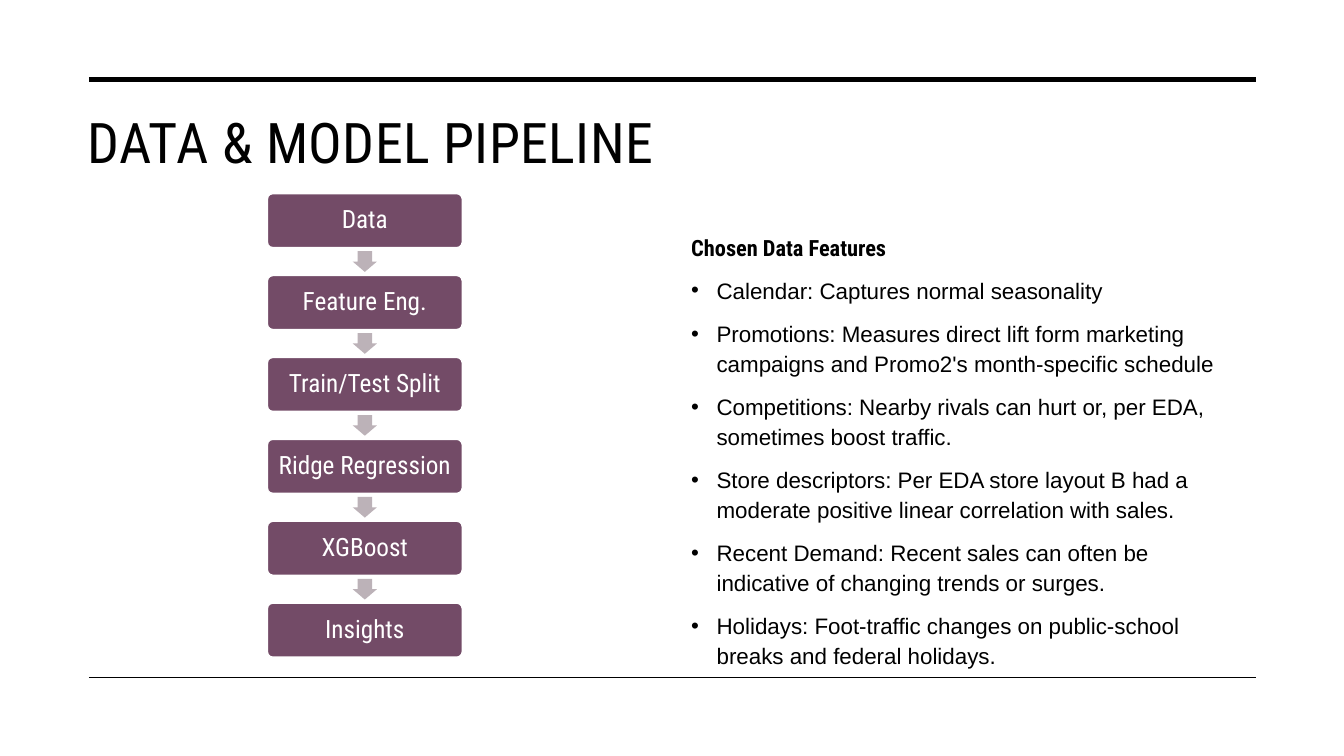
from dataclasses import dataclass

import pptx
import pptx.dml.color
import pptx.enum.shapes
import pptx.enum.text
import pptx.oxml.xmlchemy
import pptx.util

Cm = pptx.util.Cm
Pt = pptx.util.Pt
Shape = pptx.enum.shapes.MSO_SHAPE
Anchor = pptx.enum.text.MSO_ANCHOR
Align = pptx.enum.text.PP_ALIGN
new_element = pptx.oxml.xmlchemy.OxmlElement


@dataclass(frozen=True)
class Theme:
    ink: str = "000000"
    paper: str = "FFFFFF"
    stage: str = "734B67"
    arrow: str = "BCB2B8"
    heading_font: str = "Roboto Condensed"
    body_font: str = "Arial"
    title_size: int = 40
    stage_size: int = 18
    body_size: int = 16


@dataclass(frozen=True)
class Box:
    left: float
    top: float
    width: float
    height: float

    def lengths(self):
        return Cm(self.left), Cm(self.top), Cm(self.width), Cm(self.height)


THEME = Theme()
STAGES = ["Data", "Feature Eng.", "Train/Test Split", "Ridge Regression", "XGBoost", "Insights"]
FEATURES = [
    "Calendar: Captures normal seasonality",
    "Promotions: Measures direct lift form marketing campaigns and Promo2's month-specific schedule",
    "Competitions: Nearby rivals can hurt or, per EDA, sometimes boost traffic.",
    "Store descriptors: Per EDA store layout B had a moderate positive linear correlation with sales.",
    "Recent Demand: Recent sales can often be indicative of changing trends or surges.",
    "Holidays: Foot-traffic changes on public-school breaks and federal holidays.",
]


def color(value):
    return pptx.dml.color.RGBColor.from_string(value)


def add_span(para, text, size, font, ink, bold=False):
    span = para.add_run()
    span.text = text
    span.font.size = Pt(size)
    span.font.name = font
    span.font.bold = bold
    span.font.color.rgb = color(ink)
    return span


def prepare_frame(frame, anchor):
    frame.word_wrap = True
    frame.auto_size = pptx.enum.text.MSO_AUTO_SIZE.NONE
    frame.vertical_anchor = anchor


def add_rule(page, box, weight):
    left, top, width, height = box.lengths()
    rule = page.shapes.add_connector(
        pptx.enum.shapes.MSO_CONNECTOR.STRAIGHT, left, top, left + width, top + height)
    rule.line.color.rgb = color(THEME.ink)
    rule.line.width = Pt(weight)
    rule._element.spPr.append(new_element("a:effectLst"))


def place_title(page, box, text):
    title = page.shapes.title
    title.left, title.top, title.width, title.height = box.lengths()
    prepare_frame(title.text_frame, Anchor.TOP)
    para = title.text_frame.paragraphs[0]
    para.alignment = Align.LEFT
    span = add_span(para, text, THEME.title_size, THEME.heading_font, THEME.ink)
    span._r.get_or_add_rPr().set("spc", "30")


def add_block(page, preset, box, fill):
    block = page.shapes.add_shape(preset, *box.lengths())
    block.shadow.inherit = False
    block.fill.solid()
    block.fill.fore_color.rgb = color(fill)
    block.line.fill.background()
    return block


def add_stage(page, box, text):
    stage = add_block(page, Shape.ROUNDED_RECTANGLE, box, THEME.stage)
    stage.adjustments[0] = 0.1
    stage.line.color.rgb = color(THEME.paper)
    stage.line.width = Pt(1)
    frame = stage.text_frame
    prepare_frame(frame, Anchor.MIDDLE)
    frame.margin_left = frame.margin_right = Cm(0.2)
    para = frame.paragraphs[0]
    para.alignment = Align.CENTER
    para.line_spacing = 0.9
    add_span(para, text, THEME.stage_size, THEME.heading_font, THEME.paper)


def add_pipeline(page, box, stages):
    stage_height, arrow_width, arrow_height = 1.36, 0.61, 0.52
    pitch = (box.height - stage_height) / (len(stages) - 1)
    for index, text in enumerate(stages):
        top = box.top + index * pitch
        add_stage(page, Box(box.left, top, box.width, stage_height), text)
        if index:
            arrow_top = top - (pitch - stage_height + arrow_height) / 2
            arrow_left = box.left + (box.width - arrow_width) / 2
            arrow = add_block(page, Shape.DOWN_ARROW,
                              Box(arrow_left, arrow_top, arrow_width, arrow_height), THEME.arrow)
            arrow.adjustments[0] = 0.6
            arrow.adjustments[1] = 0.5


def add_bullet(para):
    properties = para._p.get_or_add_pPr()
    properties.set("marL", str(Cm(0.64)))
    properties.set("indent", str(-Cm(0.64)))
    font = new_element("a:buFont")
    font.set("typeface", THEME.body_font)
    bullet = new_element("a:buChar")
    bullet.set("char", "•")
    properties.extend([font, bullet])


def add_paragraphs(page, box, texts, font, anchor, bold=False, bulleted=False):
    frame = page.shapes.add_textbox(*box.lengths()).text_frame
    prepare_frame(frame, anchor)
    for index, text in enumerate(texts):
        para = frame.add_paragraph() if index else frame.paragraphs[0]
        para.line_spacing = 1.1
        para.space_before = Pt(10)
        if bulleted:
            add_bullet(para)
        add_span(para, text, THEME.body_size, font, THEME.ink, bold)


def add_features(page, box, heading, features):
    heading_height, gap = 1.83, 0.07
    list_top = heading_height + gap
    add_paragraphs(page, Box(box.left, box.top, box.width, heading_height),
                   [heading], THEME.heading_font, Anchor.BOTTOM, bold=True)
    add_paragraphs(page, Box(box.left, box.top + list_top, box.width, box.height - list_top),
                   features, THEME.body_font, Anchor.TOP, bulleted=True)


def main():
    deck = pptx.Presentation()
    deck.slide_width, deck.slide_height = Cm(33.87), Cm(19.05)
    page = deck.slides.add_slide(deck.slide_layouts[5])
    add_rule(page, Box(2.24, 2.01, 29.41, 0), 3.5)
    add_rule(page, Box(2.24, 17.07, 29.41, 0), 1)
    place_title(page, Box(1.96, 2.59, 29.69, 2.21), "DATA & MODEL PIPELINE")
    add_pipeline(page, Box(6.74, 4.88, 4.91, 11.68), STAGES)
    add_features(page, Box(17.17, 4.88, 14.48, 11.68), "Chosen Data Features", FEATURES)
    deck.save("out.pptx")


if __name__ == "__main__":
    main()
